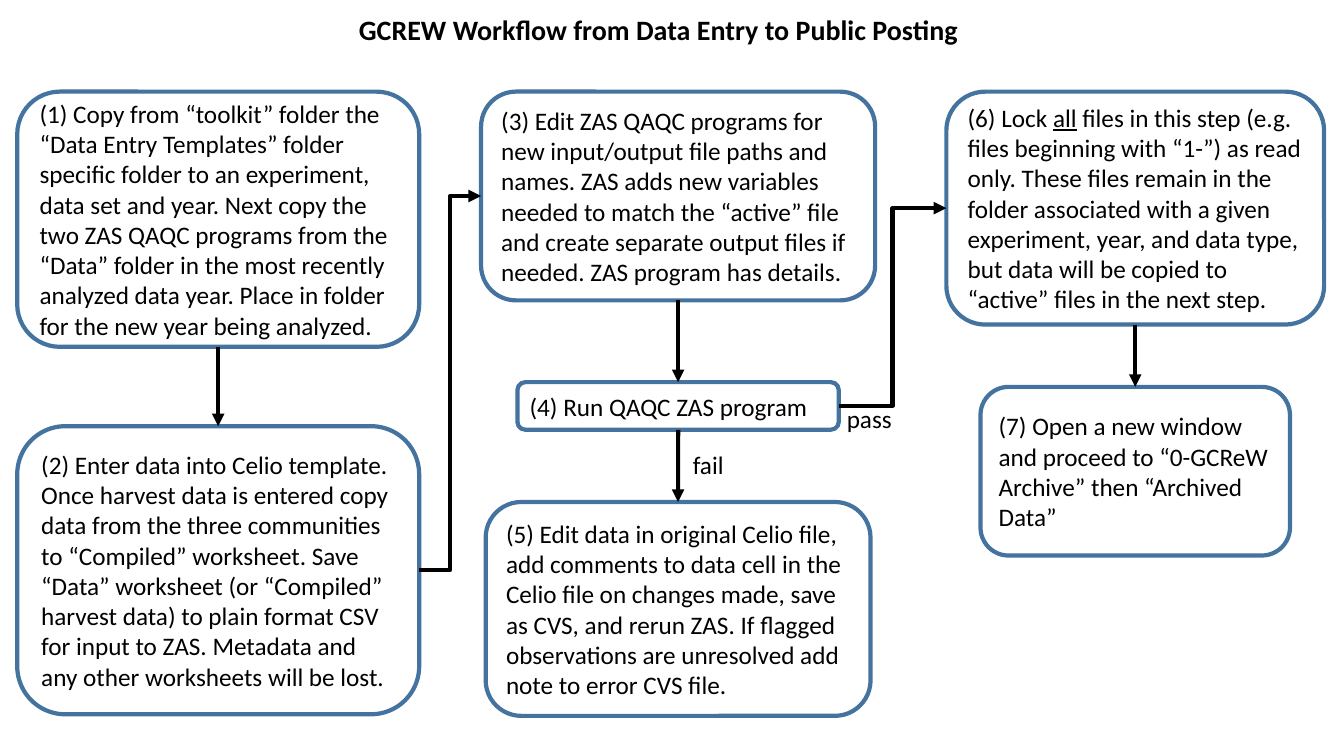
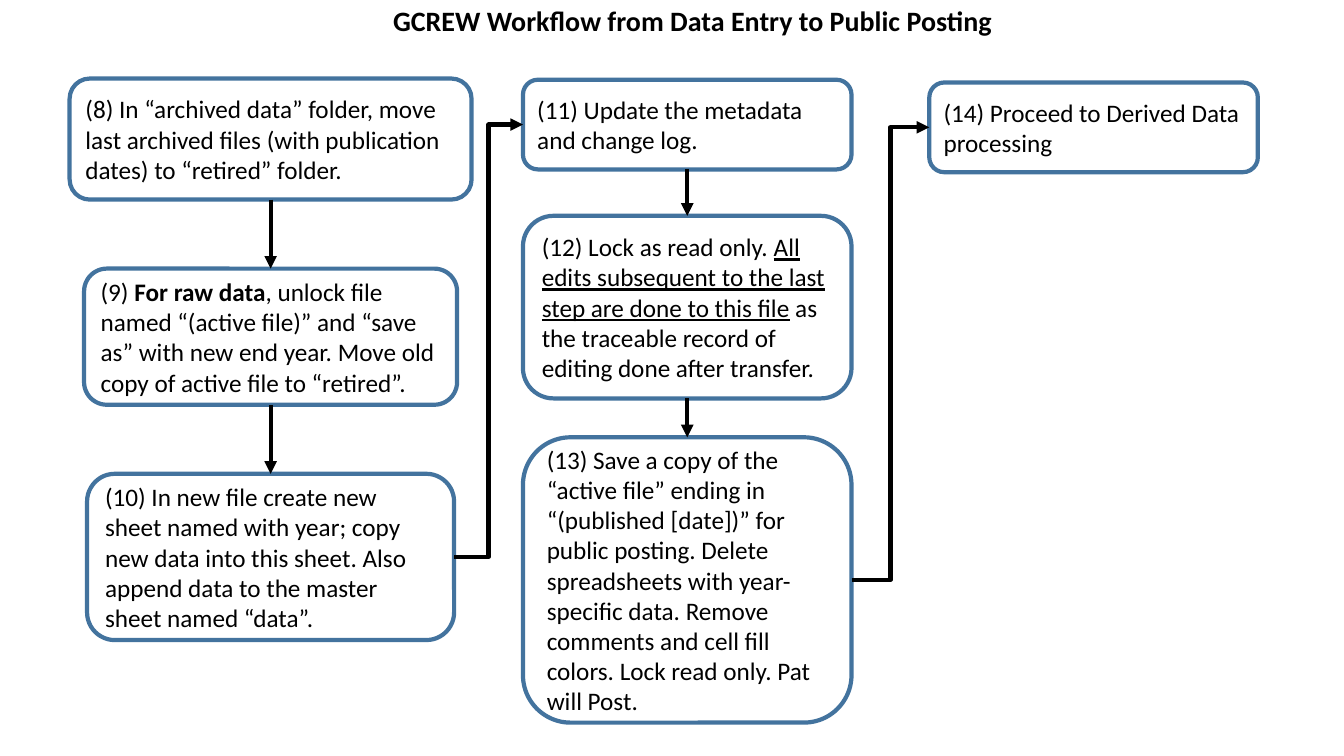
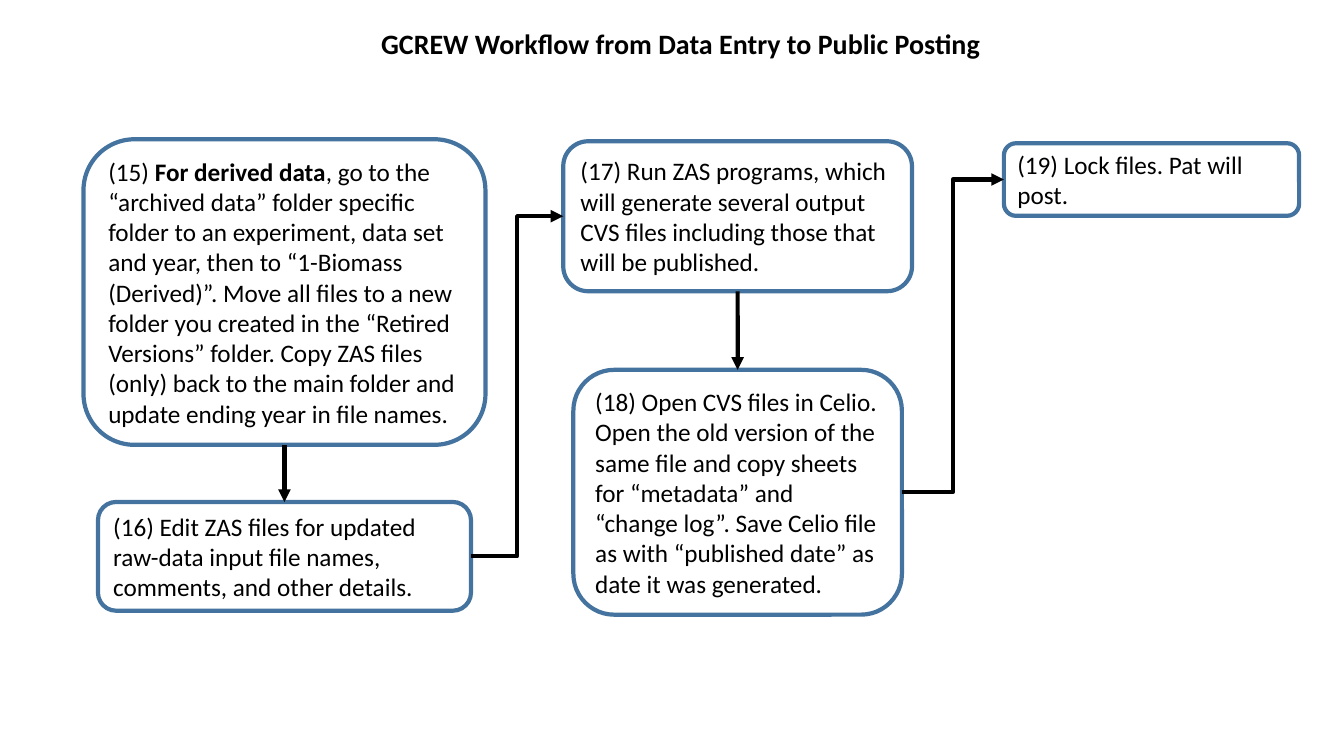
from dataclasses import dataclass
from itertools import pairwise

from lxml import etree
from pptx import Presentation
from pptx.dml.color import RGBColor
from pptx.enum.shapes import MSO_CONNECTOR, MSO_SHAPE
from pptx.enum.text import MSO_ANCHOR, MSO_AUTO_SIZE, PP_ALIGN
from pptx.oxml.ns import qn
from pptx.util import Cm, Pt

ROUNDED = MSO_SHAPE.ROUNDED_RECTANGLE
STRAIGHT, ELBOW = MSO_CONNECTOR.STRAIGHT, MSO_CONNECTOR.ELBOW
TOP, MIDDLE = MSO_ANCHOR.TOP, MSO_ANCHOR.MIDDLE
LEFT = PP_ALIGN.LEFT
NO_FIT = MSO_AUTO_SIZE.NONE
TOP_SITE, LEFT_SITE, BOTTOM_SITE, RIGHT_SITE = range(4)
TITLE_ONLY = 5


@dataclass(frozen=True)
class Theme:
    """Colours, font and sizes shared by every slide."""

    ink: RGBColor = RGBColor(0, 0, 0)
    outline: RGBColor = RGBColor(0x43, 0x73, 0x9E)
    font: str = "Calibri"
    title_size: Pt = Pt(20)
    body_size: Pt = Pt(18)
    line_width: Pt = Pt(3)


@dataclass(frozen=True)
class Label:
    """A short caption, offset in cm from the corner of its step."""

    text: str
    across: float
    down: float
    width: float


@dataclass(frozen=True)
class Step:
    """One box of the workflow, with sizes in cm."""

    spans: tuple
    width: float
    height: float
    gap: float = 0
    labels: tuple = ()


@dataclass(frozen=True)
class Column:
    """Steps stacked about a centre line; leave is the step that leads on."""

    centre: float
    top: float
    steps: tuple
    leave: int = -1


THEME = Theme()
TITLE = "GCREW Workflow from Data Entry to Public Posting"
BOLD = {"bold": True}
UNDERLINE = {"underline": True}

ENTRY = (
    Column(5.5, 2.31, (
        Step((("(1) Copy from “toolkit” folder the “Data Entry Templates” folder specific folder to "
               "an experiment, data set and year. Next copy the two ZAS QAQC programs from the "
               "“Data” folder in the most recently analyzed data year. Place in folder for the "
               "new year being analyzed.", {}),), 10.13, 6.43),
        Step((("(2) Enter data into Celio template. Once harvest data is entered copy data from "
               "the three communities to “Compiled” worksheet. Save “Data” worksheet (or "
               "“Compiled” harvest data) to plain format CSV for input to ZAS. Metadata and any "
               "other worksheets will be lost.", {}),), 10.13, 7.26, 2),
    )),
    Column(17.09, 2.31, (
        Step((("(3) Edit ZAS QAQC programs for new input/output file paths and names. ZAS adds new "
               "variables needed to match the “active” file and create separate output files if "
               "needed. ZAS program has details.", {}),), 9.93, 5.26),
        Step((("(4) Run QAQC ZAS program", {}),), 8.1, 1.2, 2.06,
             (Label("fail", 4.17, 1.57, 1.3), Label("pass", 8.05, 0.4, 1.65))),
        Step((("(5) Edit data in original Celio file, add comments to data cell in the Celio file "
               "on changes made, save as CVS, and rerun ZAS. If flagged observations are "
               "unresolved add note to error CVS file.", {}),), 9.7, 5.39, 1.82),
    ), leave=1),
    Column(28.61, 2.31, (
        Step((("(6) Lock ", {}), ("all", UNDERLINE),
              (" files in this step (e.g. files beginning with “1-”) as read only. These files "
               "remain in the folder associated with a given experiment, year, and data type, but "
               "data will be copied to “active” files in the next step.", {})), 9.52, 5.87),
        Step((("(7) Open a new window and proceed to “0-GCReW Archive” then “Archived Data”", {}),),
             7.8, 4.25, 1.57),
    )),
)
ARCHIVE = (
    Column(6.82, 1.98, (
        Step((("(8) In “archived data” folder, move last archived files (with publication dates) "
               "to “retired” folder.", {}),), 10.13, 3.05),
        Step((("(9) ", {}), ("For raw data", BOLD),
              (", unlock file named “(active file)” and “save as” with new end year. Move old "
               "copy of active file to “retired”.", {})), 9.4, 3.43, 1.74),
        Step((("(10) In new file create new sheet named with year; copy new data into this sheet. "
               "Also append data to the master sheet named “data”.", {}),), 9.25, 4.19, 1.74),
    )),
    Column(17.32, 2.01, (
        Step((("(11) Update the metadata and change log.", {}),), 8.28, 2.26),
        Step((("(12) Lock as read only. ", {}),
              ("All edits subsequent to the last step are done to this file", UNDERLINE),
              (" as the traceable record of editing done after transfer.", {})), 8.28, 4.6, 1.17),
        Step((("(13) Save a copy of the “active file” ending in “(published [date])” for public "
               "posting. Delete spreadsheets with year-specific data. Remove comments and cell "
               "fill colors. Lock read only. Pat will Post.", {}),), 8.28, 7.19, 0.98),
    )),
    Column(27.56, 2.08, (
        Step((("(14) Proceed to Derived Data processing", {}),), 8.28, 2.26),
    )),
)
DERIVED = (
    Column(7.17, 3.51, (
        Step((("(15) ", {}), ("For derived data", BOLD),
              (", go to the “archived data” folder specific folder to an experiment, data set and "
               "year, then to “1-Biomass (Derived)”. Move all files to a new folder you created in "
               "the “Retired Versions” folder. Copy ZAS files (only) back to the main folder and "
               "update ending year in file names.", {})), 10.13, 7.7),
        Step((("(16) Edit ZAS files for updated raw-data input file names, comments, and other "
               "details.", {}),), 9.4, 2.74, 1.44),
    )),
    Column(18.59, 3.56, (
        Step((("(17) Run ZAS programs, which will generate several output CVS files including "
               "those that will be published.", {}),), 8.79, 3.78),
        Step((("(18) Open CVS files in Celio. Open the old version of the same file and copy sheets "
               "for “metadata” and “change log”. Save Celio file as with “published date” as date "
               "it was generated.", {}),), 8.28, 6.17, 1.98),
    )),
    Column(29.02, 3.61, (
        Step((("(19) Lock files. Pat will post.", {}),), 7.44, 1.83),
    )),
)
PAGES = (((8.79, 0.18), ENTRY), ((9.65, -0.05), ARCHIVE), ((9.35, 0.53), DERIVED))


def set_attributes(target, values):
    """Set each named attribute of the target."""
    for name, value in values.items():
        setattr(target, name, value)


def write_text(shape, spans, size, wrap, anchor):
    """Fill a shape with one left-aligned paragraph of formatted spans."""
    set_attributes(shape.text_frame, {
        "word_wrap": wrap, "vertical_anchor": anchor, "auto_size": NO_FIT,
    })
    para = shape.text_frame.paragraphs[0]
    para.alignment = LEFT
    for text, emphasis in spans:
        span = para.add_run()
        span.text = text
        set_attributes(span.font, {"name": THEME.font, "size": size, **emphasis})
        span.font.color.rgb = THEME.ink


def add_title(page, left, top):
    """Place the shared title in the title placeholder."""
    title = page.shapes.title
    set_attributes(title, {
        "left": Cm(left), "top": Cm(top), "width": Cm(15.72), "height": Cm(1.12),
    })
    write_text(title, ((TITLE, BOLD),), THEME.title_size, False, TOP)


def add_step(page, step, left, top):
    """Draw one step and its captions from its top left corner."""
    box = page.shapes.add_shape(ROUNDED, Cm(left), Cm(top), Cm(step.width), Cm(step.height))
    box.shadow.inherit = False
    box.fill.background()
    box.line.color.rgb = THEME.outline
    box.line.width = THEME.line_width
    write_text(box, step.spans, THEME.body_size, True, MIDDLE)
    for label in step.labels:
        caption = page.shapes.add_textbox(
            Cm(left + label.across), Cm(top + label.down), Cm(label.width), Cm(1.02))
        write_text(caption, ((label.text, {}),), THEME.body_size, False, TOP)
    return box


def add_arrow(page, kind, start, start_site, end, end_site):
    """Join two boxes with an arrow."""
    arrow = page.shapes.add_connector(kind, 0, 0, 0, 0)
    arrow.begin_connect(start, start_site)
    arrow.end_connect(end, end_site)
    arrow.line.color.rgb = THEME.ink
    arrow.line.width = THEME.line_width
    properties = arrow.element.spPr
    etree.SubElement(properties.find(qn("a:ln")), qn("a:tailEnd"), type="triangle")
    etree.SubElement(properties, qn("a:effectLst"))


def add_column(page, column):
    """Stack the steps of a column, joined downwards."""
    boxes = []
    top = column.top
    for step in column.steps:
        top += step.gap
        boxes.append(add_step(page, step, column.centre - step.width / 2, top))
        top += step.height
    for upper, lower in pairwise(boxes):
        add_arrow(page, STRAIGHT, upper, BOTTOM_SITE, lower, TOP_SITE)
    return boxes


def add_workflow(deck, title_corner, columns):
    """Add a slide with a title and columns joined from left to right."""
    page = deck.slides.add_slide(deck.slide_layouts[TITLE_ONLY])
    add_title(page, *title_corner)
    stacks = [(column, add_column(page, column)) for column in columns]
    for (column, boxes), (_, following) in pairwise(stacks):
        add_arrow(page, ELBOW, boxes[column.leave], RIGHT_SITE, following[0], LEFT_SITE)


def main():
    """Build and save the deck."""
    deck = Presentation()
    deck.slide_width, deck.slide_height = Cm(33.87), Cm(19.05)
    for title_corner, columns in PAGES:
        add_workflow(deck, title_corner, columns)
    deck.save("out.pptx")


if __name__ == "__main__":
    main()
